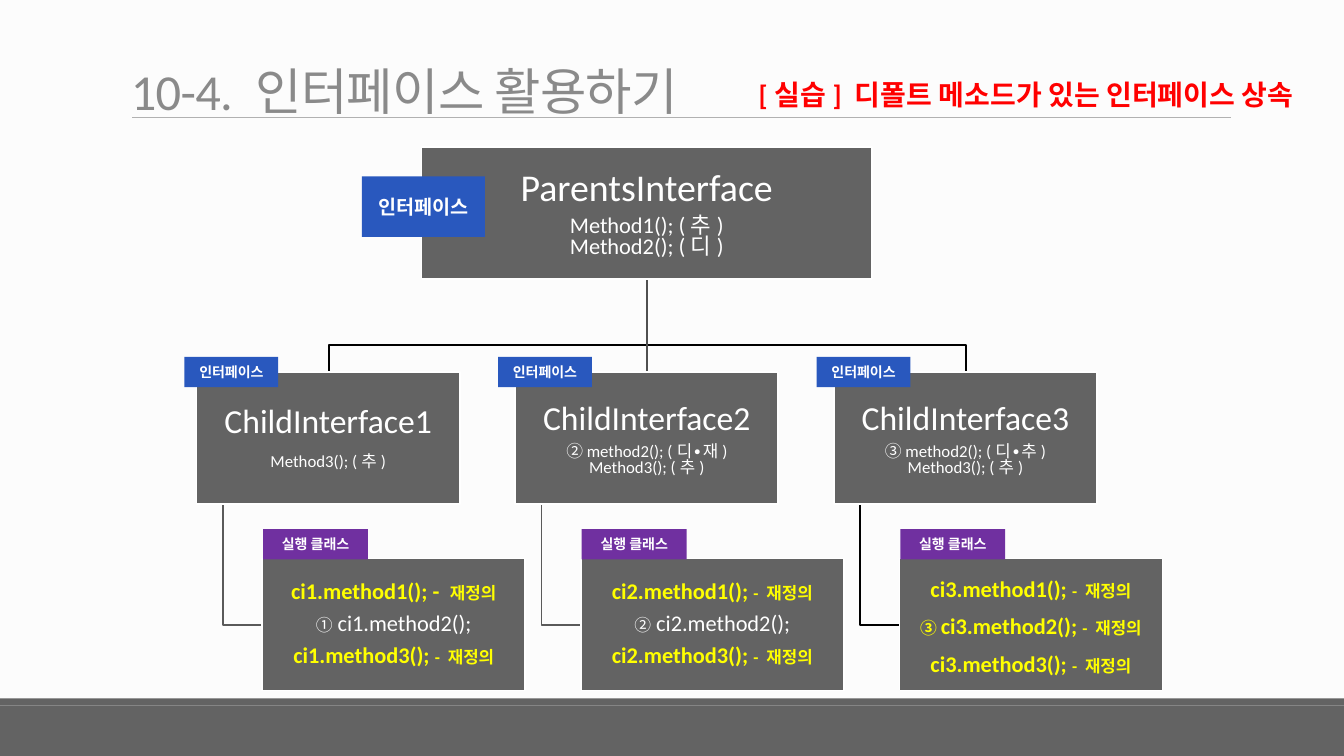
from pptx import Presentation
from pptx.dml.color import RGBColor
from pptx.enum.shapes import MSO_CONNECTOR, MSO_SHAPE
from pptx.enum.text import MSO_ANCHOR, PP_ALIGN
from pptx.oxml.ns import qn
from pptx.util import Inches, Pt
from lxml import etree

RECT, STRAIGHT = MSO_SHAPE.RECTANGLE, MSO_CONNECTOR.STRAIGHT
CENTER, MIDDLE, BOTTOM = PP_ALIGN.CENTER, MSO_ANCHOR.MIDDLE, MSO_ANCHOR.BOTTOM
LATIN, CJK = "Calibri", "Noto Sans CJK KR"
C = {"bg": "FCFCFC", "box": "636363", "white": "FFFFFF", "rule": "B1B1B1",
     "title": "8A8A8A", "red": "FF0000", "blue": "2958BE", "purple": "7030A0",
     "yellow": "FFFF00", "black": "000000", "gray": "5A5A5A", "stem": "4F4F4F"}
C = {name: RGBColor.from_string(value) for name, value in C.items()}

prs = Presentation()
prs.slide_width, prs.slide_height = Inches(13.33), Inches(7.5)
s = prs.slides.add_slide(prs.slide_layouts[6])
s.background.fill.solid()
s.background.fill.fore_color.rgb = C["bg"]


def add_rect(x, y, w, h, fill, border=None, inset=None):
    sp = s.shapes.add_shape(RECT, Inches(x), Inches(y), Inches(w), Inches(h))
    sp.shadow.inherit = False
    sp.fill.solid()
    sp.fill.fore_color.rgb = C[fill]
    if border:
        sp.line.color.rgb = C[border]
        sp.line.width = Pt(1.25)
    else:
        sp.line.fill.background()
    tf = sp.text_frame
    tf.word_wrap, tf.vertical_anchor = True, MIDDLE
    if inset:
        tf.margin_left = tf.margin_right = Inches(inset)
        tf.margin_top = tf.margin_bottom = Inches(inset)
    return sp


def write(tf, paragraphs, align=CENTER):
    """Each paragraph: (line spacing, space after, runs of (text, size, colour, bold, font))."""
    for i, (spacing, after, runs) in enumerate(paragraphs):
        p = tf.add_paragraph() if i else tf.paragraphs[0]
        p.alignment, p.line_spacing, p.space_after = align, spacing, Pt(after)
        for text, size, color, bold, font in runs:
            r = p.add_run()
            r.text = text
            r.font.size, r.font.bold, r.font.name = Pt(size), bold, font
            r.font.color.rgb = C[color]
            etree.SubElement(r.font._element, qn("a:ea")).set("typeface", CJK)


# Footer bands and title rule
add_rect(0, 7, 13.33, 0.5, "box")
add_rect(0, 6.93, 13.33, 0.07, "box")
rule = s.shapes.add_connector(STRAIGHT, Inches(1.31), Inches(1.16), Inches(12.21), Inches(1.16))
rule.line.color.rgb, rule.line.width = C["rule"], Pt(0.5)

# Title and exercise heading
title = s.shapes.add_textbox(Inches(1.2), Inches(0.31), Inches(8.19), Inches(0.94)).text_frame
title.word_wrap, title.vertical_anchor = True, BOTTOM
write(title, [(0.85, 0, [("10-4. 인터페이스 활용하기", 36, "title", False, LATIN)])], PP_ALIGN.LEFT)
title.paragraphs[0].runs[0].font._element.set("spc", "-50")
heading = s.shapes.add_textbox(Inches(6.79), Inches(0.76), Inches(6.67), Inches(0.84)).text_frame
heading.word_wrap = True
heading.margin_left = Inches(0.2)
write(heading, [(0.9, 2, [("[실습] 디폴트 메소드가 있는 인터페이스 상속", 20, "red", True, LATIN)])])

# Tree geometry
BOX_W, BOX_H, STEP = 2.61, 1.31, 3.16
CHILD_X, CHILD_Y, CLASS_X, CLASS_Y = 1.95, 3.69, 2.6, 5.54
ROOT_X, ROOT_Y, BRANCH_Y = 6.42, 2.77, 3.42

# Tree lines
elbows = [[(ROOT_X, ROOT_Y), (ROOT_X, BRANCH_Y), (x, BRANCH_Y), (x, CHILD_Y)]
          for x in (ROOT_X - STEP, ROOT_X + STEP)]
for i in range(3):
    x = 2.21 + i * STEP
    elbows.append([(x, CHILD_Y + BOX_H), (x, 6.2), (CLASS_X + i * STEP, 6.2)])
for points, color in zip(elbows, ("black", "black", "gray", "gray", "black")):
    points = [(Inches(x), Inches(y)) for x, y in points]
    builder = s.shapes.build_freeform(*points[0])
    builder.add_line_segments(points[1:], close=False)
    elbow = builder.convert_to_shape()
    elbow.shadow.inherit = False
    elbow.fill.background()
    elbow.line.color.rgb, elbow.line.width = C[color], Pt(1.25)
stem = s.shapes.add_connector(STRAIGHT, Inches(ROOT_X), Inches(ROOT_Y), Inches(ROOT_X), Inches(CHILD_Y))
stem.line.color.rgb, stem.line.width = C["stem"], Pt(1.25)
for line in (rule, stem):
    etree.SubElement(line._element.spPr, qn("a:effectLst"))

# Parent interface
parent = add_rect(4.18, 1.46, 4.47, BOX_H, "box", "white", 0.02)
write(parent.text_frame, [
    (0.9, 9.45, [("ParentsInterface", 27, "white", False, LATIN)]),
    (0.5, 5.6, [("Method1(); (추)", 16, "white", False, LATIN)]),
    (0.5, 5.6, [("Method2(); (디)", 16, "white", False, LATIN)])])
stem.begin_connect(parent, 2)

# Child interfaces: overriding method as (text, font) runs
overrides = [
    [],
    [("② ", CJK), ("method2(); (디", LATIN), ("∙", CJK), ("재)", LATIN)],
    [("③ ", CJK), ("method2(); (디", LATIN), ("∙추", CJK), (")", LATIN)]]
for i, override in enumerate(overrides):
    child = add_rect(CHILD_X + i * STEP, CHILD_Y, BOX_W, BOX_H, "box", "white", 0.02)
    paragraphs = [(0.9, 8.4, [(f"ChildInterface{i + 1}", 24, "white", False, LATIN)])]
    if override:
        paragraphs.append((0.5, 4.2, [(t, 12, "white", False, f) for t, f in override]))
    paragraphs.append((0.5 if override else 0.9, 4.2,
                       [("Method3(); (추)", 12, "white", False, LATIN)]))
    write(child.text_frame, paragraphs)
    if i == 1:
        stem.end_connect(child, 0)

# Implementing classes: (mark, method2 redefined, line spacing)
for i, (mark, redefined, spacing) in enumerate([("①", False, 0.9), ("②", False, 0.9), ("③", True, 1.1)]):
    box = add_rect(CLASS_X + i * STEP, CLASS_Y, BOX_W, BOX_H, "box", "white", 0.01)
    paragraphs = []
    for n in (1, 2, 3):
        plain = n == 2 and not redefined
        color = "white" if plain else "yellow"
        call = f"ci{i + 1}.method{n}();"
        runs = [(mark, 12, color, not plain, CJK), (" ", 12 if redefined else 16, color, not plain, CJK)] if n == 2 else []
        if plain:
            runs.append((call, 16, color, False, LATIN))
        else:
            dash = "- " if (i, n) == (0, 1) else ""
            runs += [(f"{call} {dash}", 16, color, True, LATIN),
                     ("재정의" if dash else "- 재정의", 12, color, True, LATIN)]
        paragraphs.append((spacing, 5.6, runs))
    write(box.text_frame, paragraphs)

# Tags
tags = [(3.59, 1.75, 1.22, 0.6, "blue", "인터페이스", 14)]
tags += [(x, 3.54, 0.93, 0.3, "blue", "인터페이스", 10) for x in (1.83, 4.94, 8.1)]
tags += [(CLASS_X + 0.01 + i * STEP, 5.25, 1.04, 0.3, "purple", "실행 클래스", 10) for i in range(3)]
for x, y, w, h, fill, label, size in tags:
    tag = add_rect(x, y, w, h, fill)
    write(tag.text_frame, [(1.0, 0, [(label, size, "white", True, LATIN)])])

prs.save("out.pptx")
